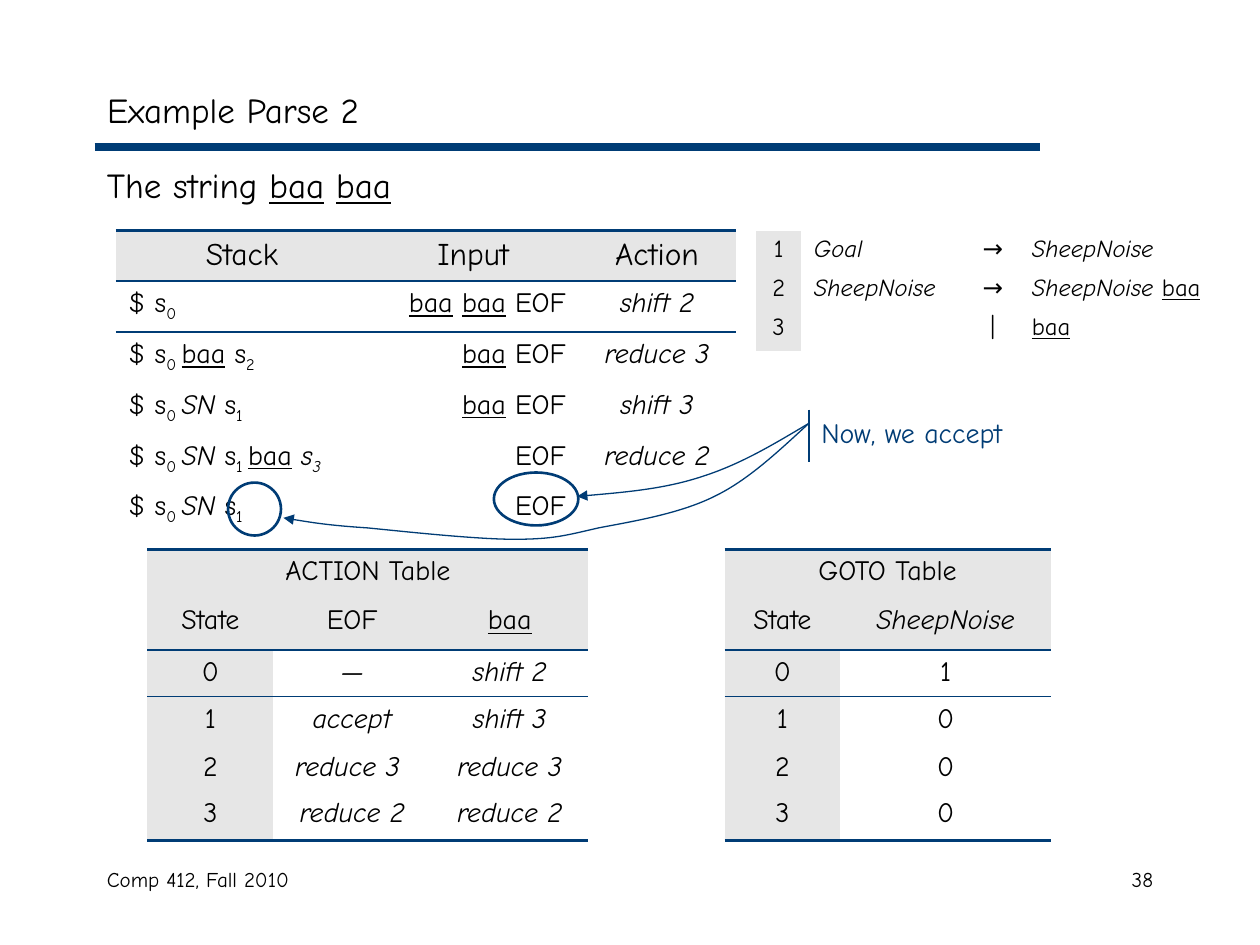
from lxml.etree import SubElement
from pptx import Presentation
from pptx.dml.color import RGBColor
from pptx.enum.shapes import MSO_CONNECTOR, MSO_SHAPE
from pptx.enum.text import MSO_ANCHOR, PP_ALIGN
from pptx.oxml.ns import qn
from pptx.util import Inches, Pt

COLORS = {"navy": "003C75", "black": "000000", "gray": "E6E6E6", "white": "FFFFFF"}
FONT = "Comic Neue"
ALIGN = {"l": PP_ALIGN.LEFT, "c": PP_ALIGN.CENTER, "r": PP_ALIGN.RIGHT}
PLAIN_TABLE_STYLE = "{2D5ABB26-0587-4C30-8999-92F81FD0307C}"
MARKS = "_*~"  # toggles for underline, italic and subscript


def rgb(name):
    return RGBColor.from_string(COLORS[name])


def split_marks(text):
    """Yield (piece, active marks) for text with toggling marks."""
    active, piece = set(), ""
    for char in text:
        if char in MARKS:
            if piece:
                yield piece, set(active)
            active ^= {char}
            piece = ""
        else:
            piece += char
    if piece:
        yield piece, active


def write_text(frame, text, size=16, color="black", align="l", spacing=None):
    paragraph = frame.paragraphs[0]
    paragraph.alignment = ALIGN[align]
    paragraph.space_before = Pt(0)
    if spacing:
        paragraph.line_spacing = spacing
    paragraph.font.size = Pt(size)
    for piece, marks in split_marks(text):
        run = paragraph.add_run()
        run.text = piece
        font = run.font
        font.name, font.size = FONT, Pt(size)
        font.color.rgb = rgb(color)
        font.underline = "_" in marks
        font.italic = "*" in marks
        if "~" in marks:
            run._r.get_or_add_rPr().set("baseline", "-25000")


def add_text(slide, left, top, width, height, text, **fmt):
    box = slide.shapes.add_textbox(*map(Inches, (left, top, width, height)))
    box.text_frame.word_wrap = True
    write_text(box.text_frame, text, **fmt)


def add_line(slide, start, end, weight):
    line = slide.shapes.add_connector(MSO_CONNECTOR.STRAIGHT, *map(Inches, start + end))
    line.line.color.rgb = rgb("navy")
    line.line.width = Pt(weight)
    SubElement(line._element.spPr, qn("a:effectLst"))


def outline_only(shape, weight):
    shape.shadow.inherit = False
    shape.fill.background()
    shape.line.color.rgb = rgb("navy")
    shape.line.width = Pt(weight)


def add_ring(slide, left, top, width, height):
    outline_only(slide.shapes.add_shape(
        MSO_SHAPE.OVAL, *map(Inches, (left, top, width, height))), 1.5)


def add_curved_arrow(slide, start, points):
    """Draw a curve; points hold two controls and an end for each segment."""
    builder = slide.shapes.build_freeform(*map(Inches, start))
    builder.add_line_segments([tuple(map(Inches, p)) for p in points], close=False)
    curve = builder.convert_to_shape()
    outline_only(curve, 0.75)
    outline = next(curve._element.iter(qn("a:path")))
    line_steps = outline.findall(qn("a:lnTo"))
    for first in range(0, len(line_steps), 3):
        bezier = SubElement(outline, qn("a:cubicBezTo"))
        for step in line_steps[first:first + 3]:
            bezier.append(step[0])
            outline.remove(step)
    SubElement(curve.line._get_or_add_ln(), qn("a:tailEnd"), type="triangle")


def add_border(cell, side, weight):
    line = SubElement(cell._tc.get_or_add_tcPr(), qn(f"a:{side}"), w=str(Pt(weight)))
    fill = SubElement(line, qn("a:solidFill"))
    SubElement(fill, qn("a:srgbClr"), val=COLORS["navy"])


def add_grid(slide, left, top, widths, heights, rows, aligns, rules=None,
             header_rows=0, shade_first=False, body_fill=None, header_size=16, **fmt):
    """Add a table; rules map a row boundary (0 is the top edge) to a weight."""
    rules = rules or {}
    table = slide.shapes.add_table(
        len(rows), len(widths), Inches(left), Inches(top),
        Inches(sum(widths)), Inches(sum(heights))).table
    table._tbl.tblPr.find(qn("a:tableStyleId")).text = PLAIN_TABLE_STYLE
    table.first_row = table.horz_banding = False
    for column, width in zip(table.columns, widths):
        column.width = Inches(width)
    for row, height in zip(table.rows, heights):
        row.height = Inches(height)

    for r, texts in enumerate(rows):
        header = r < header_rows
        for c, text in enumerate(texts):
            cell = table.cell(r, c)
            for side, boundary in (("lnT", r), ("lnB", r + 1)):
                if boundary in rules:
                    add_border(cell, side, rules[boundary])
            shade = "gray" if header or (shade_first and c == 0) else body_fill
            if shade:
                cell.fill.solid()
                cell.fill.fore_color.rgb = rgb(shade)
            else:
                cell.fill.background()
            cell_fmt = {**fmt, "align": "c" if header else aligns[c]}
            if header:
                cell_fmt["size"] = header_size
            write_text(cell.text_frame, text, **cell_fmt)
    return table


def add_state_table(slide, left, widths, rows):
    table = add_grid(slide, left, 4.36, widths, [0.39, 0.41, 0.37, 0.38, 0.37, 0.39],
                     rows, "c" * len(widths), rules={0: 2.25, 2: 1, 6: 2.25},
                     header_rows=2, shade_first=True, body_fill="white")
    table.cell(0, 0).merge(table.cell(0, len(widths) - 1))


def main():
    prs = Presentation()
    prs.slide_width, prs.slide_height = Inches(10), Inches(7.5)
    slide = prs.slides.add_slide(prs.slide_layouts[5])

    # Title, rule, subtitle and footer
    title = slide.shapes.title
    title.left, title.top, title.width, title.height = map(Inches, (0.75, 0.58, 8.5, 0.58))
    title.text_frame.vertical_anchor = MSO_ANCHOR.MIDDLE
    write_text(title.text_frame, "Example Parse 2", size=20)
    add_line(slide, (0.75, 1.17), (8.25, 1.17), 4.5)
    add_text(slide, 0.75, 1.25, 8.5, 0.58, "The string _baa_ _baa_", size=20)
    add_text(slide, 0.75, 6.83, 3.17, 0.5, "Comp 412, Fall 2010", size=12)
    add_text(slide, 7.17, 6.83, 2.08, 0.5, "38", size=12, align="r")

    # ACTION and GOTO tables
    add_state_table(slide, 1.17, [1, 1.25, 1.25], [
        ["ACTION Table", "", ""],
        ["State", "EOF", "_baa_"],
        ["0", "*—*", "*shift 2*"],
        ["1", "*accept*", "*shift 3*"],
        ["2", "*reduce 3 *", "*reduce 3*"],
        ["3", "*reduce 2*", "*reduce 2*"]])
    add_state_table(slide, 5.75, [0.92, 1.67], [
        ["GOTO Table", ""],
        ["State", "*SheepNoise*"],
        ["0", "1"], ["1", "0"], ["2", "0"], ["3", "0"]])

    # Parse trace
    add_grid(slide, 0.92, 1.83, [2, 1.67, 1.25], [0.4, 0.39, 0.39, 0.39, 0.39, 0.38], [
        ["Stack", "Input", "Action"],
        ["$ s~0~", "_baa_ _baa_ EOF", "*shift 2*"],
        ["$ s~0 ~_baa_ s~2~", "_baa_ EOF", "*reduce 3*"],
        ["$ s~0 ~*SN* s~1~", "_baa_ EOF", "*shift 3*"],
        ["$ s~0 ~*SN* s~1 ~_baa_* s~3~*", "EOF", "*reduce 2*"],
        ["$ s~0 ~*SN* s~1~", "EOF", ""]],
        "lrc", rules={0: 2.25, 1: 1}, header_rows=1, header_size=18)

    # Callout with rings and arrows
    add_line(slide, (6.42, 3.25), (6.42, 3.67), 1.5)
    add_text(slide, 6.42, 3.25, 2.25, 0.37, "Now, we accept", color="navy")
    add_ring(slide, 1.81, 3.83, 0.42, 0.42)
    add_ring(slide, 3.92, 3.75, 0.67, 0.42)
    callout = (6.42, 3.36)
    add_curved_arrow(slide, callout, [
        (6.15, 3.52), (5.89, 3.68), (5.58, 3.78),
        (5.28, 3.88), (4.93, 3.91), (4.58, 3.94)])
    add_curved_arrow(slide, callout, [
        (6.18, 3.58), (5.94, 3.81), (5.67, 3.94),
        (5.39, 4.08), (5.01, 4.14), (4.75, 4.19),
        (4.49, 4.25), (4.39, 4.28), (4.08, 4.28),
        (3.78, 4.28), (3.22, 4.22), (2.92, 4.19),
        (2.61, 4.17), (2.43, 4.14), (2.25, 4.11)])

    # Grammar
    add_grid(slide, 6, 1.83, [0.36, 1.31, 0.42, 1.67], [0.31] * 3, [
        ["1", "*Goal*", "→", "*SheepNoise*"],
        ["2", "*SheepNoise*", "→", "*SheepNoise *_baa_"],
        ["3", "", "|", "_baa_"]],
        "clcl", shade_first=True, size=14, spacing=0.9)

    prs.save("out.pptx")


if __name__ == "__main__":
    main()
